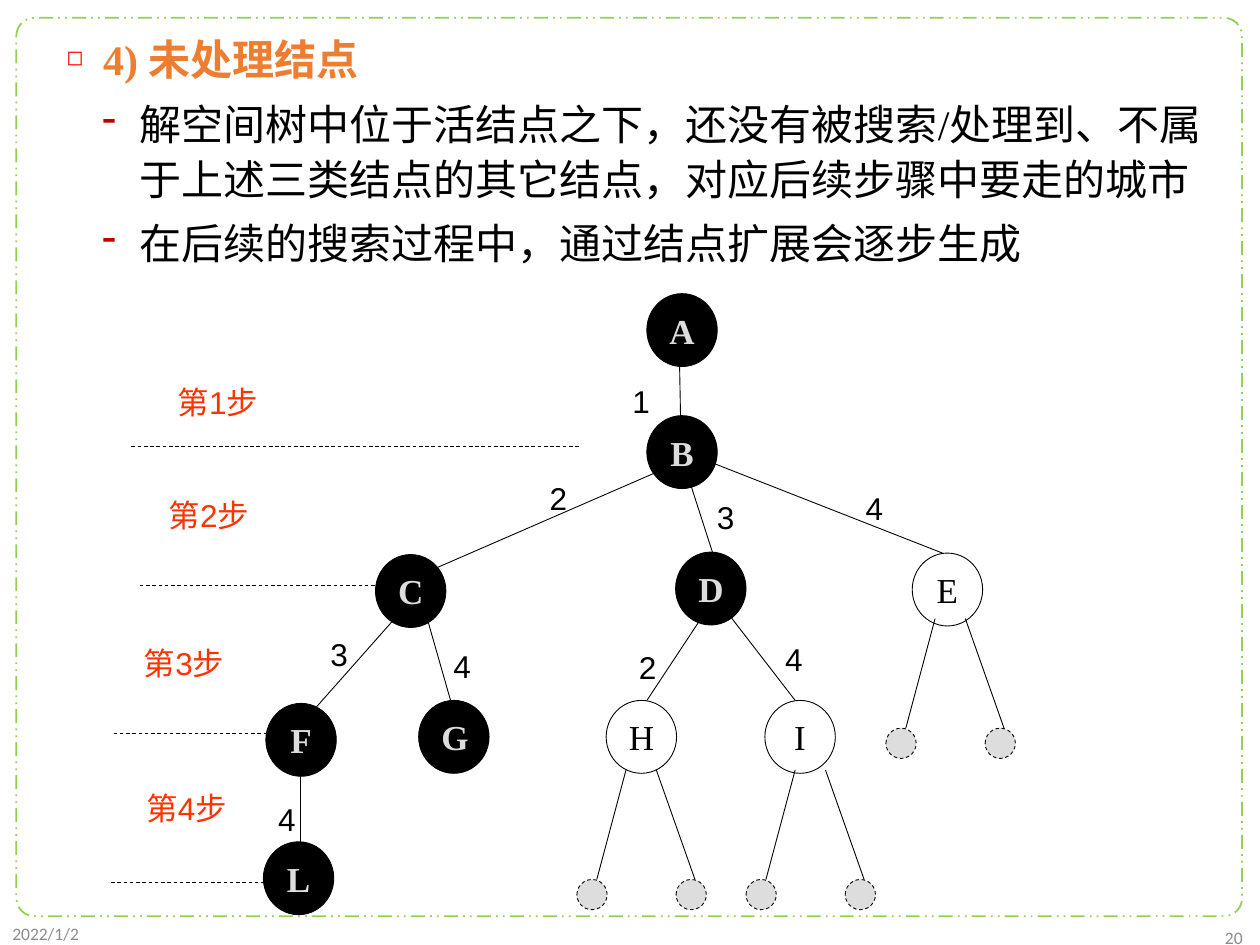
from lxml import etree
from pptx import Presentation
from pptx.dml.color import RGBColor
from pptx.enum.dml import MSO_LINE
from pptx.enum.shapes import MSO_CONNECTOR, MSO_SHAPE
from pptx.enum.text import MSO_ANCHOR, PP_ALIGN
from pptx.oxml.ns import qn
from pptx.util import Cm, Pt

BLACK = RGBColor(0x00, 0x00, 0x00)
LIGHT = RGBColor(0xDD, 0xDD, 0xDD)
GREY = RGBColor(0x8C, 0x8C, 0x8C)
GREEN = RGBColor(0x92, 0xD0, 0x50)
ORANGE = RGBColor(0xED, 0x7D, 0x31)
STEP_RED = RGBColor(0xFF, 0x33, 0x00)
DASH, DASH_DOT_DOT = MSO_LINE.DASH, MSO_LINE.DASH_DOT_DOT
OVAL, ROUNDED = MSO_SHAPE.OVAL, MSO_SHAPE.ROUNDED_RECTANGLE
STRAIGHT = MSO_CONNECTOR.STRAIGHT
LEFT, CENTER, RIGHT = PP_ALIGN.LEFT, PP_ALIGN.CENTER, PP_ALIGN.RIGHT
TOP, MIDDLE = MSO_ANCHOR.TOP, MSO_ANCHOR.MIDDLE

SERIF = {"name": "Times New Roman", "size": Pt(24), "bold": False}
FOOTER = {"name": "Calibri", "size": Pt(10)}
LABEL = {"name": "Arial", "size": Pt(18)}

# All lengths below are centimetres; the tree is relative to its own box
NODE_W, NODE_H, DOT = 1.42, 1.47, 0.61
EXPANDED = {
    "A": (10.8, 0), "B": (10.8, 2.46), "C": (5.33, 5.26), "D": (11.38, 5.21),
    "F": (3.12, 8.26), "G": (6.2, 8.2), "L": (3.07, 11.05),
}
LIVE = {"E": (16.15, 5.23), "H": (9.98, 8.2), "I": (13.18, 8.2)}
# Start, end, city number and place of that number
EDGES = [
    ((11.46, 1.47), (11.48, 2.54), "1", (10.26, 1.65)),
    ((10.97, 3.61), (6.53, 5.54), "2", (8.59, 3.61)),
    ((11.66, 3.78), (12.17, 5.36), "3", (11.96, 3.99)),
    ((12.17, 3.43), (16.76, 5.23), "4", (14.96, 3.81)),
    ((5.69, 6.58), (4.14, 8.33), "3", (4.17, 6.76)),
    ((6.38, 6.58), (6.88, 8.33), "4", (6.65, 6.99)),
    ((11.99, 6.4), (10.8, 8.2), "2", (10.39, 7.01)),
    ((12.4, 6.4), (13.79, 8.2), "4", (13.34, 6.86)),
    ((3.81, 9.58), (3.81, 11.68), "4", (3.12, 10.08)),
]
# Dashed level line (left, right, y) and place of the step label
STEPS = [
    (0.41, 9.45, 3.07, (1.09, 1.68)),
    (0.58, 5.36, 5.89, (0.91, 3.96)),
    (0.05, 3.12, 8.86, (0.41, 6.93)),
    (0, 3.07, 11.86, (0.46, 9.86)),
]
# Unprocessed children: branch start, branch end, dot corner, from the live node
BRANCHES = [
    ((0.46, 1.32), (-0.13, 3.53), (-0.53, 3.53)),
    ((1.07, 1.32), (1.85, 3.53), (1.47, 3.53)),
]
BRANCH_SHIFT = {"E": (0, 0), "H": (-0.06, 0.08), "I": (0.15, 0.08)}


def shifted(point, origin):
    return point[0] + origin[0], point[1] + origin[1]


def set_font(font, formats, color):
    for key, value in formats.items():
        setattr(font, key, value)
    font.color.rgb = color


def add_text(slide, text, box, formats, color, align=LEFT, anchor=TOP, wrap=True):
    frame = slide.shapes.add_textbox(*map(Cm, box)).text_frame
    frame.word_wrap = wrap
    frame.vertical_anchor = anchor
    paragraph = frame.paragraphs[0]
    paragraph.text = text
    paragraph.alignment = align
    set_font(paragraph.runs[0].font, formats, color)


def add_outline(slide, preset, box, fill=None, line=BLACK, width=0.5, dash=None):
    outline = slide.shapes.add_shape(preset, *map(Cm, box))
    outline.shadow.inherit = False
    if fill is None:
        outline.fill.background()
    else:
        outline.fill.solid()
        outline.fill.fore_color.rgb = fill
    outline.line.color.rgb = line
    outline.line.width = Pt(width)
    outline.line.dash_style = dash
    return outline


def add_line(slide, start, end, dash=None):
    line = slide.shapes.add_connector(STRAIGHT, *map(Cm, (*start, *end)))
    line.line.color.rgb = BLACK
    line.line.width = Pt(0.5)
    line.line.dash_style = dash
    etree.SubElement(line._element.spPr, qn("a:effectLst"))


def add_node(slide, name, corner, fill, color, bold):
    node = add_outline(slide, OVAL, (*corner, NODE_W, NODE_H), fill)
    frame = node.text_frame
    frame.vertical_anchor = MIDDLE
    paragraph = frame.paragraphs[0]
    paragraph.text = name
    paragraph.alignment = CENTER
    set_font(paragraph.runs[0].font,
             {**SERIF, "size": Pt(20), "bold": bold}, color)


def add_bullet(paragraph, char, color, percent, margin, hanging):
    props = paragraph._p.get_or_add_pPr()
    props.set("marL", str(Cm(margin)))
    props.set("indent", str(-Cm(hanging)))
    bullet_color = etree.SubElement(props, qn("a:buClr"))
    etree.SubElement(bullet_color, qn("a:srgbClr"), val=color)
    etree.SubElement(props, qn("a:buSzPct"), val=str(percent * 1000))
    etree.SubElement(props, qn("a:buChar"), char=char)


def build_frame(slide, box):
    frame = add_outline(slide, ROUNDED, box, None, GREEN, 1, DASH_DOT_DOT)
    frame.adjustments[0] = 0.02


def build_explanation(slide, box):
    heading = ("◻", "FF0000", 50, 1.5, 0.74)
    detail = ("-", "C00000", 100, 2.24, 0.76)
    points = [
        ("4) 未处理结点", heading, ORANGE, True),
        ("解空间树中位于活结点之下，还没有被搜索/处理到、不属于上述三类结点的"
         "其它结点，对应后续步骤中要走的城市", detail, BLACK, False),
        ("在后续的搜索过程中，通过结点扩展会逐步生成", detail, BLACK, False),
    ]
    frame = slide.shapes.add_textbox(*map(Cm, box)).text_frame
    frame.word_wrap = True
    for index, (text, bullet, color, bold) in enumerate(points):
        paragraph = frame.add_paragraph() if index else frame.paragraphs[0]
        paragraph.text = text
        paragraph.line_spacing = 1.1
        if index:
            paragraph.space_before = Pt(5)
        add_bullet(paragraph, *bullet)
        set_font(paragraph.runs[0].font, {**SERIF, "bold": bold}, color)


def build_tree(slide, origin):
    # Edges with their city numbers
    for start, end, number, place in EDGES:
        add_line(slide, shifted(start, origin), shifted(end, origin))
        add_text(slide, number, (*shifted(place, origin), 0.86, 1.02),
                 LABEL, BLACK, wrap=False)
    # Step levels
    for step, (left, right, y, place) in enumerate(STEPS, 1):
        add_line(slide, shifted((left, y), origin), shifted((right, y), origin), DASH)
        add_text(slide, f"第{step}步", (*shifted(place, origin), 2.13, 1.02),
                 LABEL, STEP_RED)
    # Expanded nodes
    for name, corner in EXPANDED.items():
        add_node(slide, name, shifted(corner, origin), BLACK, LIGHT, True)
    # Live nodes with their unprocessed children
    for name, corner in LIVE.items():
        corner = shifted(corner, origin)
        add_node(slide, name, corner, None, BLACK, False)
        base = shifted(corner, BRANCH_SHIFT[name])
        for start, end, dot in BRANCHES:
            add_outline(slide, OVAL, (*shifted(dot, base), DOT, DOT), LIGHT, dash=DASH)
            add_line(slide, shifted(start, base), shifted(end, base))


def build_footer(slide, left, right, width):
    add_text(slide, "2022/1/2", (left, 18.44, width, 0.74), FOOTER, GREY,
             anchor=MIDDLE)
    add_text(slide, "20", (right - width, 18.57, width, 0.66), FOOTER, GREY,
             RIGHT, MIDDLE)


def main():
    deck = Presentation()
    deck.slide_width, deck.slide_height = Cm(25.4), Cm(19.05)
    slide = deck.slides.add_slide(deck.slide_layouts[6])
    build_frame(slide, (0.33, 0.36, 24.71, 18.11))
    build_explanation(slide, (0.33, 0.46, 24.71, 17.98))
    build_footer(slide, 0, 25.3, 5.72)
    build_tree(slide, (2.24, 5.92))
    deck.save("out.pptx")


if __name__ == "__main__":
    main()
